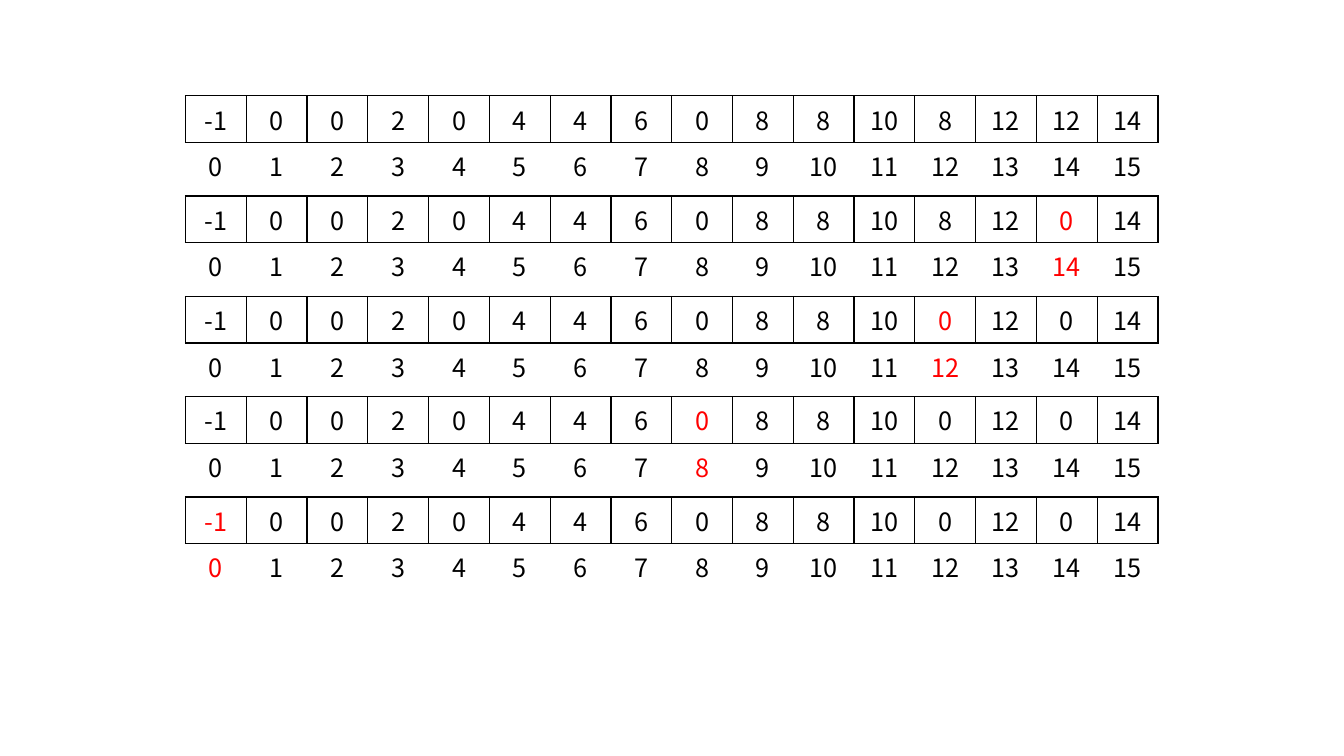
"""Draw the parent array of a 16-node tree and each step of a path compression."""
import pptx
import pptx.dml.color
import pptx.enum.text
import pptx.oxml.ns
import pptx.util
from lxml import etree

Inches = pptx.util.Inches
NODES = 16
COMPRESSED = [None, 14, 12, 8, 0]


def color(value):
    return pptx.dml.color.RGBColor.from_string(value)


class Deck:
    font, size = "Noto Sans CJK SC", 18
    black, red = "000000", "FF0000"
    left, top, width, row_height = 1.84, 0.95, 9.65, 0.41
    step = (4.93 - 0.95) / (len(COMPRESSED) - 1)

    def __init__(self):
        self.prs = pptx.Presentation()
        self.prs.slide_width = Inches(13.33)
        self.prs.slide_height = Inches(7.5)
        self.s = self.prs.slides.add_slide(self.prs.slide_layouts[6])

    def borders(self, cell, sides):
        tcPr = cell._tc.get_or_add_tcPr()
        qn = pptx.oxml.ns.qn
        for side in "LRTB":
            ln = etree.SubElement(tcPr, qn("a:ln" + side), w=str(pptx.util.Pt(1)))
            if side in sides:
                fill = etree.SubElement(ln, qn("a:solidFill"))
                etree.SubElement(fill, qn("a:srgbClr"), val=self.black)
            else:
                etree.SubElement(ln, qn("a:noFill"))

    def cell(self, cell, text, highlighted, sides):
        self.borders(cell, sides)
        cell.fill.background()
        p = cell.text_frame.paragraphs[0]
        p.text = str(text)
        p.alignment = pptx.enum.text.PP_ALIGN.CENTER
        p.font.name = self.font
        p.font.size = pptx.util.Pt(self.size)
        p.font.color.rgb = color(self.red if highlighted else self.black)

    def array(self, index, parents, changed):
        table = self.s.shapes.add_table(
            2, NODES, Inches(self.left), Inches(self.top + index * self.step),
            Inches(self.width), Inches(2 * self.row_height)).table
        table.first_row = table.horz_banding = False
        for column in table.columns:
            column.width = Inches(self.width / NODES)
        for node, parent in enumerate(parents):
            self.cell(table.cell(0, node), parent, node == changed, "LRTB")
            self.cell(table.cell(1, node), node, node == changed, "T")


def main():
    deck = Deck()
    parents = [-1] + [node & (node - 1) for node in range(1, NODES)]
    for index, changed in enumerate(COMPRESSED):
        if changed:
            parents[changed] = 0
        deck.array(index, parents, changed)
    deck.prs.save("out.pptx")


if __name__ == "__main__":
    main()
